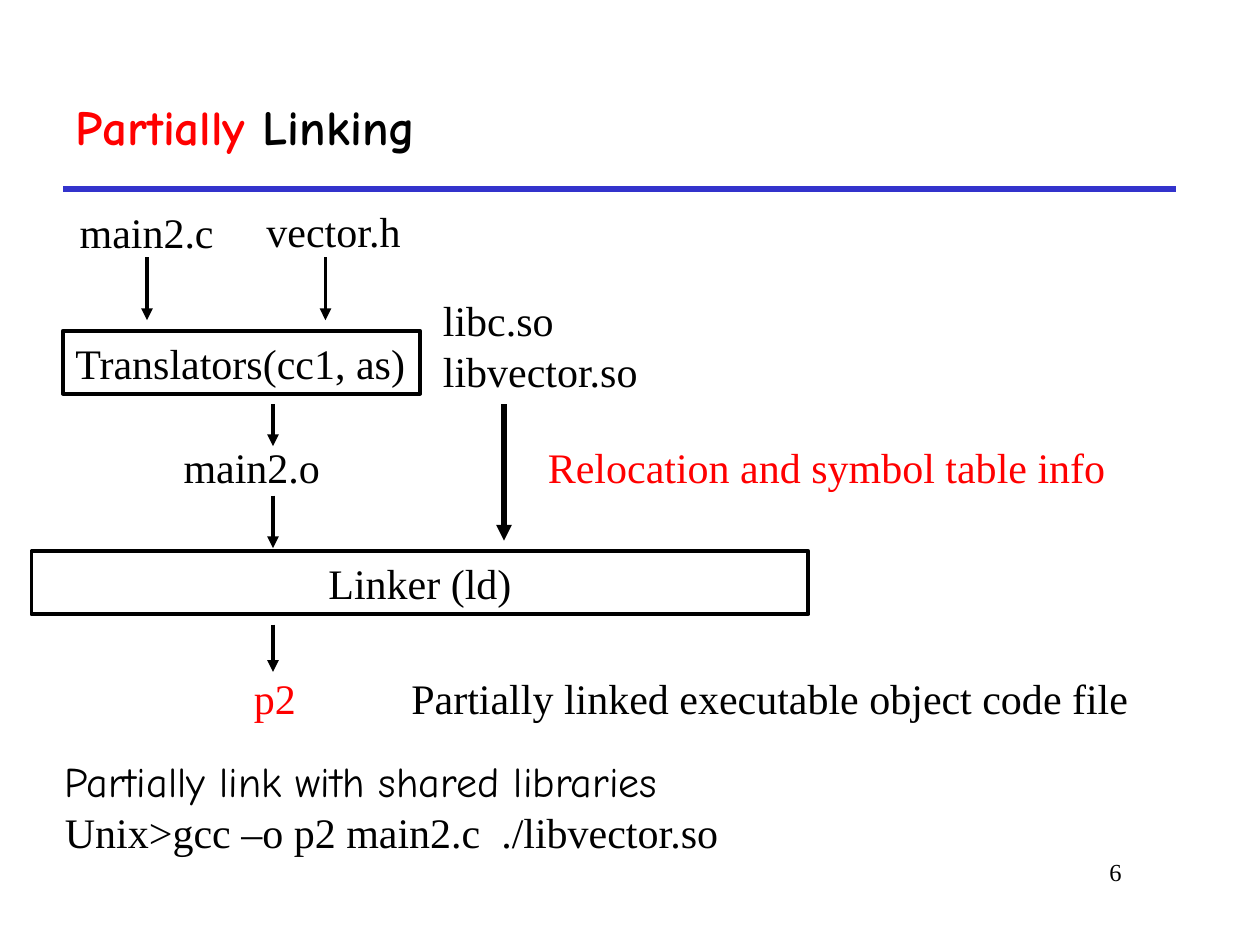
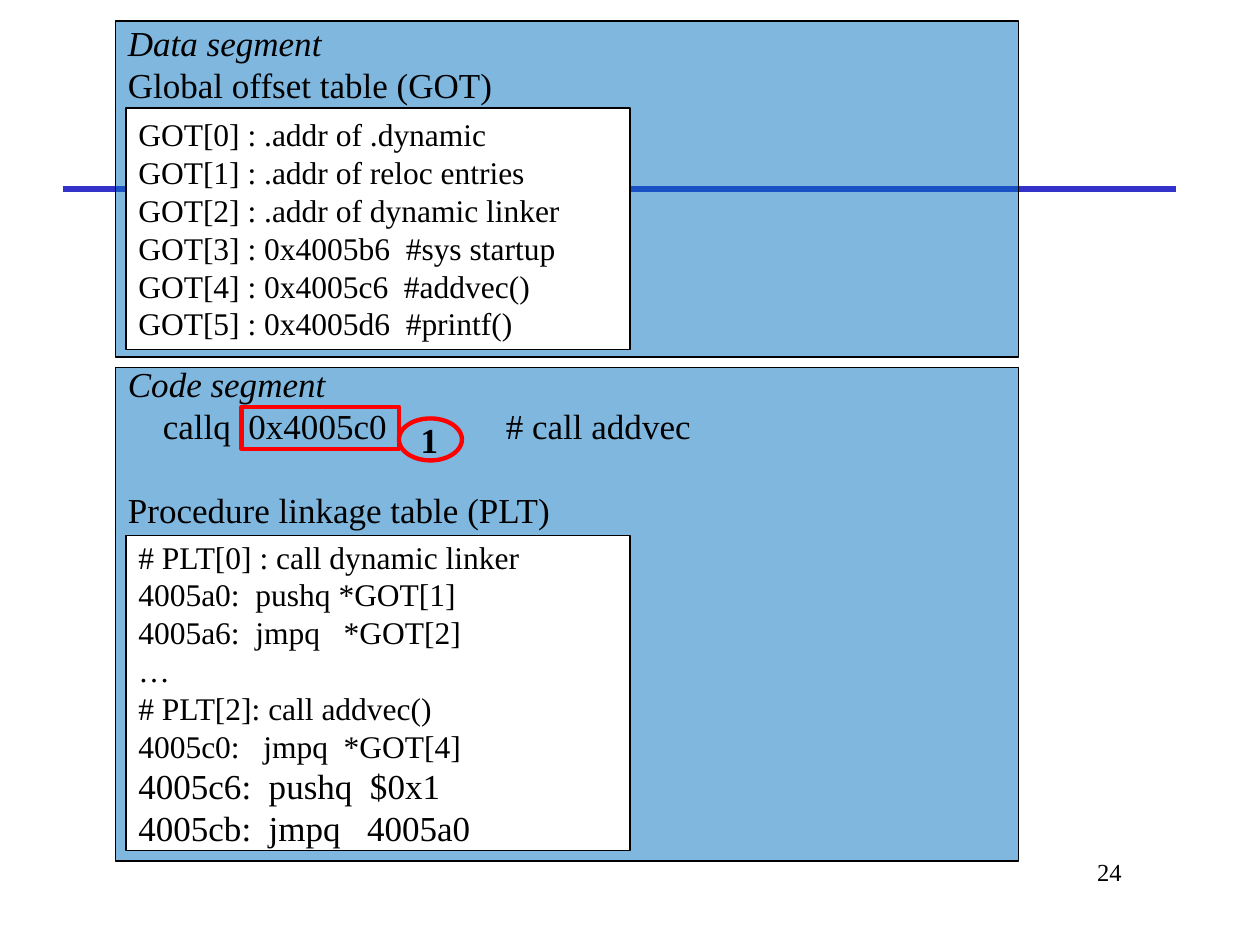
from lxml import etree
from pptx import Presentation, util as u
from pptx.dml.color import RGBColor
from pptx.enum import shapes, text
from pptx.oxml.ns import qn

BLACK = RGBColor(0, 0, 0)
WHITE = RGBColor(255, 255, 255)
RED = RGBColor(255, 0, 0)
RULE = RGBColor(0x33, 0x33, 0xCC)
PANEL = RGBColor(0x00, 0x70, 0xC0)
SERIF, COMIC = "Times New Roman", "Comic Neue"
COLS, ROWS = 120, 90
MID, TOP = text.MSO_ANCHOR.MIDDLE, text.MSO_ANCHOR.TOP
LEFT, CENTER, RIGHT = text.PP_ALIGN.LEFT, text.PP_ALIGN.CENTER, text.PP_ALIGN.RIGHT


class Deck:
    """Holds the style and the current slide; lengths are grid cells."""

    def __init__(self):
        self.prs = Presentation()
        self.prs.slide_width, self.prs.slide_height = u.Inches(10), u.Inches(7.5)

    def cells(self, *spots):
        """Turn alternating columns and rows into lengths."""
        steps = self.prs.slide_width / COLS, self.prs.slide_height / ROWS
        return [round(spot * steps[i % 2]) for i, spot in enumerate(spots)]

    def page(self, number):
        self.slide = self.prs.slides.add_slide(self.prs.slide_layouts[6])
        self.line(6, 18, 112, 18, RULE, 3)
        self.label(number, 91, 81, 17, 6, size=14, align=RIGHT)

    def para(self, frame, words, size=24, color=BLACK, font=SERIF, bold=False,
             italic=False, align=LEFT, lead=1.2, gap=0, tab=None):
        """Fill the first paragraph of a frame, or add one after it."""
        par = frame.paragraphs[0]
        if par.runs:
            par = frame.add_paragraph()
        if tab:
            tabs = etree.SubElement(par._p.get_or_add_pPr(), qn("a:tabLst"))
            etree.SubElement(tabs, qn("a:tab"), pos=str(u.Inches(tab)), algn="l")
        par.alignment = align
        par.line_spacing = u.Pt(round(size * lead, 1))
        par.space_before = u.Pt(gap)
        par.font.size, par.font.name = u.Pt(size), font
        par.font.bold, par.font.italic = bold, italic
        par.font.color.rgb = color
        par.add_run().text = words
        return par

    def label(self, words, x, y, w, h, wrap=True, **style):
        """Plain text, one paragraph for each line of words."""
        frame = self.slide.shapes.add_textbox(*self.cells(x, y, w, h)).text_frame
        frame.word_wrap = wrap
        for row in words.split("\n"):
            self.para(frame, row, **style)
        return frame

    def title(self, lead, rest):
        frame = self.label(lead, 6, 6, 106, 12, size=28, font=COMIC, bold=True, color=RED)
        frame.vertical_anchor = MID
        run = frame.paragraphs[0].add_run()
        run.text = rest
        run.font.color.rgb = BLACK

    def line(self, x1, y1, x2, y2, color=BLACK, width=2.25, head=False):
        link = self.slide.shapes.add_connector(
            shapes.MSO_CONNECTOR.STRAIGHT, *self.cells(x1, y1, x2, y2))
        link.line.color.rgb, link.line.width = color, u.Pt(width)
        if head:
            etree.SubElement(link.line._get_or_add_ln(), qn("a:tailEnd"), type="triangle")
        etree.SubElement(link._element.spPr, qn("a:effectLst"))

    def arrow(self, x, y1, y2, width=2.25):
        self.line(x, y1, x, y2, width=width, head=True)

    def box(self, x, y, w, h, color=BLACK, width=2.25, fill=None, alpha=None,
            kind=shapes.MSO_SHAPE.RECTANGLE, anchor=MID, inset=0):
        """Outlined shape; returns its text frame."""
        shape = self.slide.shapes.add_shape(kind, *self.cells(x, y, w, h))
        shape.shadow.inherit = False
        shape.line.color.rgb, shape.line.width = color, u.Pt(width)
        if fill is None:
            shape.fill.background()
        else:
            shape.fill.solid()
            shape.fill.fore_color.rgb = fill
        if alpha:
            tint = shape._element.spPr.find(qn("a:solidFill")).find(qn("a:srgbClr"))
            etree.SubElement(tint, qn("a:alpha"), val=str(alpha * 1000))
        frame = shape.text_frame
        frame.word_wrap, frame.vertical_anchor = True, anchor
        frame.margin_top, frame.margin_bottom = u.Inches(inset), 0
        return frame

    def panel(self, y, h, inset=0):
        return self.box(11, y, 86, h, width=0.75, fill=PANEL, alpha=50,
                        anchor=TOP, inset=inset)

    def table(self, y, h, rows):
        """White listing; rows are (words, size)."""
        frame = self.box(12, y, 48, h, width=0.75, fill=WHITE)
        for words, size in rows:
            self.para(frame, words, size)


def linking(deck):
    deck.page("6")
    deck.title("Partially", " Linking")

    # Files, and the arrows between steps
    for words, x, y, w, color in (
            ("main2.c", 6.4, 19.1, 15.2, BLACK), ("vector.h", 24.2, 19, 15.4, BLACK),
            ("main2.o", 16.3, 41.5, 15.5, BLACK), ("p2", 23, 63.5, 6.5, RED)):
        deck.label(words, x, y, w, 6.1, wrap=False, color=color)
    for x, y1, y2 in ((14, 24.5, 30.5), (31, 24.5, 30.5), (26, 38.5, 42.5),
                      (26, 47.2, 52.2), (26, 59.5, 64)):
        deck.arrow(x, y1, y2)
    deck.arrow(48, 38.5, 51.5, width=3)

    # Tools
    deck.para(deck.box(6, 31.5, 34, 6), "Translators(cc1, as)")
    deck.para(deck.box(3, 52.5, 74, 6), "Linker (ld)", align=CENTER)

    # Notes
    deck.label("libc.so\nlibvector.so", 41, 27.5, 22, 11)
    deck.label("Relocation and symbol table info", 51, 41.5, 56, 6.1, color=RED)
    deck.label("Partially linked executable object code file", 38, 63.5, 72, 6.1)
    frame = deck.label("Partially link with shared libraries", 5, 69, 106, 13.3,
                       font=COMIC, lead=1.8)
    deck.para(frame, "Unix>gcc –o p2 main2.c  ./libvector.so")


def tables(deck):
    deck.page("24")

    # Data segment
    data = deck.panel(2, 32)
    deck.para(data, "Data segment", 20, italic=True)
    deck.para(data, "Global offset table (GOT)", 20)
    slots = (".addr of .dynamic", ".addr of reloc entries", ".addr of dynamic linker",
             "0x4005b6  #sys startup", "0x4005c6  #addvec()", "0x4005d6  #printf()")
    deck.table(10.3, 23, [(f"GOT[{i}] : {slot}", 18) for i, slot in enumerate(slots)])

    # Code segment
    code = deck.panel(35, 47, inset=-0.04)
    deck.para(code, "Code segment", 20, italic=True)
    deck.para(code, "    callq  0x4005c0\t# call addvec", 20, tab=3)
    deck.para(code, "Procedure linkage table (PLT)", 20, gap=24)
    deck.table(51, 30, [
        ("# PLT[0] : call dynamic linker", 18),
        ("4005a0:  pushq *GOT[1]", 18),
        ("4005a6:  jmpq   *GOT[2]", 18),
        ("…", 18),
        ("# PLT[2]: call addvec()", 18),
        ("4005c0:   jmpq  *GOT[4]", 18),
        ("4005c6:  pushq  $0x1", 20),
        ("4005cb:  jmpq   4005a0", 20)])

    # Marked call
    deck.box(23, 38.75, 15, 4, RED, 2.5)
    mark = deck.box(38, 39.85, 6, 4, RED, 2.5, kind=shapes.MSO_SHAPE.OVAL)
    deck.para(mark, "1", 20, bold=True)


def main():
    deck = Deck()
    linking(deck)
    tables(deck)
    deck.prs.save("out.pptx")


if __name__ == "__main__":
    main()
